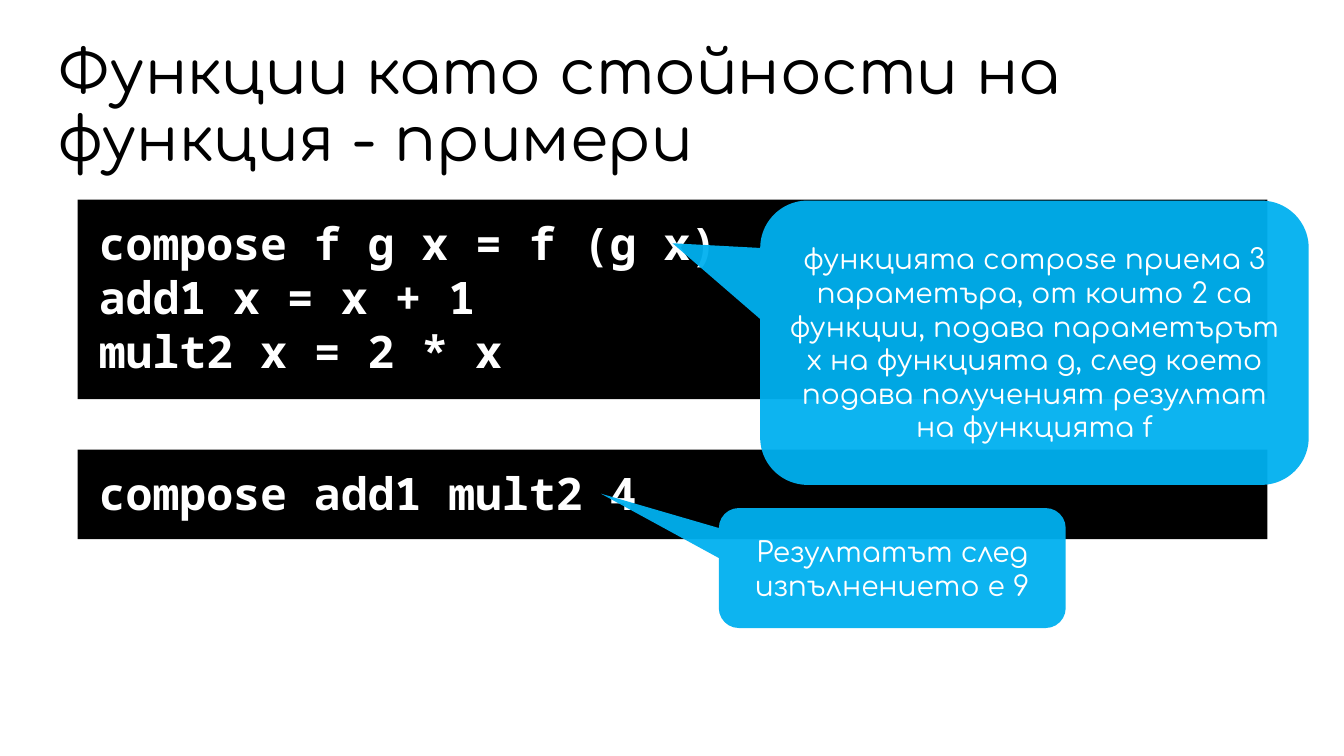
from lxml import etree
from pptx import Presentation
from pptx import util as u
from pptx.dml.color import RGBColor
from pptx.enum import shapes, text
from pptx.oxml.ns import qn

BODY_FONT = "Comfortaa"
CODE_FONT = "Noto Sans Mono"
BLACK, WHITE, SKY = "000000", "FFFFFF", "00B0F0"


def color(hex_code):
    return RGBColor.from_string(hex_code)


def write(box, lines, font, size, hex_code, margins, anchor,
          align=text.PP_ALIGN.LEFT, bold=False, spacing=None):
    """Fill a box with one paragraph per line; margins are (side, top and bottom) in inches."""
    frame = box.text_frame
    frame.word_wrap = True
    frame.vertical_anchor = anchor
    frame.margin_left = frame.margin_right = u.Inches(margins[0])
    frame.margin_top = frame.margin_bottom = u.Inches(margins[1])
    frame.text = "\n".join(lines)
    for paragraph in frame.paragraphs:
        paragraph.alignment = align
        paragraph.line_spacing = spacing
        paragraph.font.name = font
        paragraph.font.size = u.Pt(size)
        paragraph.font.bold = bold
        paragraph.font.color.rgb = color(hex_code)


def add_panel(slide, preset, bounds, fill):
    panel = slide.shapes.add_shape(preset, *map(u.Inches, bounds))
    panel.shadow.inherit = False
    panel.fill.solid()
    panel.fill.fore_color.rgb = color(fill)
    panel.line.fill.background()
    return panel


def add_title(slide, title):
    heading = slide.shapes.add_textbox(*map(u.Inches, (0.45, 0.65, 12.42, 0.84)))
    write(heading, [title], BODY_FONT, 44, BLACK, (0.12, 0.04),
          text.MSO_ANCHOR.MIDDLE, spacing=0.9)


def add_code(slide, top, height, lines):
    code = add_panel(slide, shapes.MSO_SHAPE.RECTANGLE, (0.77, top, 11.8, height), BLACK)
    write(code, lines, CODE_FONT, 32, WHITE, (0.21, 0.16),
          text.MSO_ANCHOR.TOP, bold=True)


def add_callout(slide, bounds, tip, note):
    """Tip is the pointer's offset from the centre, as fractions of width and height."""
    callout = add_panel(slide, shapes.MSO_SHAPE.ROUNDED_RECTANGULAR_CALLOUT, bounds, SKY)
    callout.adjustments[0], callout.adjustments[1] = tip
    fill_color = callout.fill._xPr.find(qn("a:solidFill"))[0]
    etree.SubElement(fill_color, qn("a:alpha"), val="95000")
    write(callout, [note], BODY_FONT, 20, WHITE, (0.13, 0.07),
          text.MSO_ANCHOR.MIDDLE, align=text.PP_ALIGN.CENTER)


def main():
    deck = Presentation()
    deck.slide_width, deck.slide_height = u.Inches(13.33), u.Inches(7.5)
    slide = deck.slides.add_slide(deck.slide_layouts[6])

    add_title(slide, "Функции като стойности на функция - примери")
    add_code(slide, 1.98, 1.98,
             ["compose f g x = f (g x)", "add1 x = x + 1", "mult2 x = 2 * x"])
    add_code(slide, 4.46, 0.89, ["compose add1 mult2 4"])
    add_callout(slide, (7.54, 1.99, 5.44, 2.82), (-0.66, -0.35),
                "функцията compose приема 3 параметъра, от които 2 са функции, "
                "подава параметърът x на функцията g, след което подава "
                "полученият резултат на функцията f")
    add_callout(slide, (7.13, 5.04, 3.44, 1.19), (-0.84, -0.62),
                "Резултатът след изпълнението е 9")
    deck.save("out.pptx")


if __name__ == "__main__":
    main()
